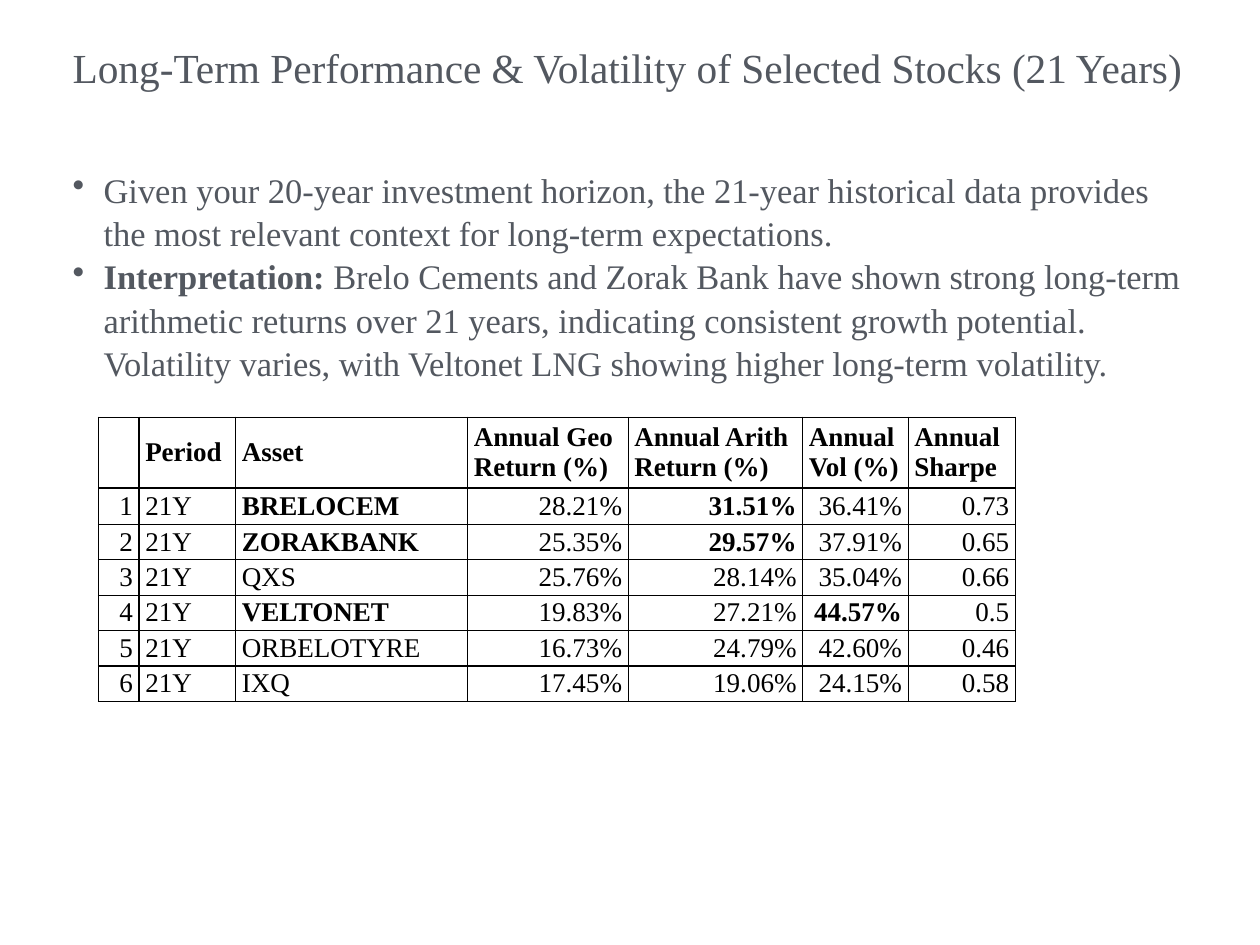
import pptx
import pptx.util
import pptx.dml.color
import pptx.enum.text
import pptx.oxml
import pptx.oxml.ns

Inches, Pt = pptx.util.Inches, pptx.util.Pt
RGB = pptx.dml.color.RGBColor
ALIGN = pptx.enum.text.PP_ALIGN
ANCHOR = pptx.enum.text.MSO_ANCHOR
SLATE = RGB(0x53, 0x58, 0x60)
BLACK = RGB(0, 0, 0)
WHITE = RGB(255, 255, 255)
FACE = "Times New Roman"


def style(run, size, color, bold=False):
    run.font.name = FACE
    run.font.size = Pt(size)
    run.font.color.rgb = color
    run.font.bold = bold


def add_box(top, height):
    box = slide.shapes.add_textbox(Inches(0.76), Inches(top), Inches(12.69), Inches(height))
    frame = box.text_frame
    frame.word_wrap = True
    frame.margin_left = frame.margin_right = Inches(0.06)
    frame.margin_top = frame.margin_bottom = Inches(0.06)
    return frame


deck = pptx.Presentation()
deck.slide_width = Inches(14.22)
deck.slide_height = Inches(10.67)
slide = deck.slides.add_slide(deck.slide_layouts[6])

# Title
title = add_box(0.42, 1.25)
title.text = "Long-Term Performance & Volatility of Selected Stocks (21 Years)"
style(title.paragraphs[0].runs[0], 33.6, SLATE)

# Bullets, each a lead in bold and a plain rest
points = [
    ("", "Given your 20-year investment horizon, the 21-year historical data provides "
         "the most relevant context for long-term expectations."),
    ("Interpretation:", " Brelo Cements and Zorak Bank have shown strong long-term arithmetic "
     "returns over 21 years, indicating consistent growth potential. "
     "Volatility varies, with Veltonet LNG showing higher long-term volatility."),
]
body = add_box(1.82, 6.58)
for i, (lead, rest) in enumerate(points):
    para = body.paragraphs[0] if i == 0 else body.add_paragraph()
    para.line_spacing = 1.05
    props = para._p.get_or_add_pPr()
    props.set("marL", str(Inches(0.35)))
    props.set("indent", str(-Inches(0.35)))
    bullet = pptx.oxml.ns.qn("a:buChar")
    props.append(props.makeelement(bullet, {"char": "•"}))
    for text, bold in ((lead, True), (rest, False)):
        if text:
            run = para.add_run()
            run.text = text
            style(run, 28, SLATE, bold)

# Table data
rows = [
    ["", "Period", "Asset", "Annual Geo Return (%)", "Annual Arith Return (%)",
     "Annual Vol (%)", "Annual Sharpe"],
    ["1", "21Y", "BRELOCEM", "28.21%", "31.51%", "36.41%", "0.73"],
    ["2", "21Y", "ZORAKBANK", "25.35%", "29.57%", "37.91%", "0.65"],
    ["3", "21Y", "QXS", "25.76%", "28.14%", "35.04%", "0.66"],
    ["4", "21Y", "VELTONET", "19.83%", "27.21%", "44.57%", "0.5"],
    ["5", "21Y", "ORBELOTYRE", "16.73%", "24.79%", "42.60%", "0.46"],
    ["6", "21Y", "IXQ", "17.45%", "19.06%", "24.15%", "0.58"],
]
strong = {"BRELOCEM", "31.51%", "ZORAKBANK", "29.57%", "VELTONET", "44.57%"}
widths = [0.46, 1.09, 2.62, 1.81, 1.97, 1.19, 1.21]
heights = [0.8, 0.41] + [0.4] * 5

# Table
grid = slide.shapes.add_table(len(rows), len(widths), Inches(1.11), Inches(4.71),
                              Inches(sum(widths)), Inches(sum(heights))).table
grid.first_row = grid.horz_banding = False
for col, width in zip(grid.columns, widths):
    col.width = Inches(width)
for row, height in zip(grid.rows, heights):
    row.height = Inches(height)

for r, row in enumerate(rows):
    for c, text in enumerate(row):
        cell = grid.cell(r, c)
        cell.vertical_anchor = ANCHOR.MIDDLE
        cell.margin_left = cell.margin_right = Inches(0.07)
        cell.margin_top = cell.margin_bottom = 0
        cell.text_frame.text = text
        para = cell.text_frame.paragraphs[0]
        para.alignment = ALIGN.LEFT if r == 0 or c in (1, 2) else ALIGN.RIGHT
        for run in para.runs:
            style(run, 22, BLACK, r == 0 or text in strong)

        # Borders, thicker below the header and after the number column
        edges = {"L": c == 1, "R": c == 0, "T": r == 1, "B": r == 0}
        for side, thick in edges.items():
            cell._tc.get_or_add_tcPr().append(pptx.oxml.parse_xml(
                f'<a:ln{side} {pptx.oxml.ns.nsdecls("a")} w="{Pt(2 if thick else 1)}">'
                f'<a:solidFill><a:srgbClr val="{BLACK}"/></a:solidFill></a:ln{side}>'))
        cell.fill.solid()
        cell.fill.fore_color.rgb = WHITE

deck.save("out.pptx")
